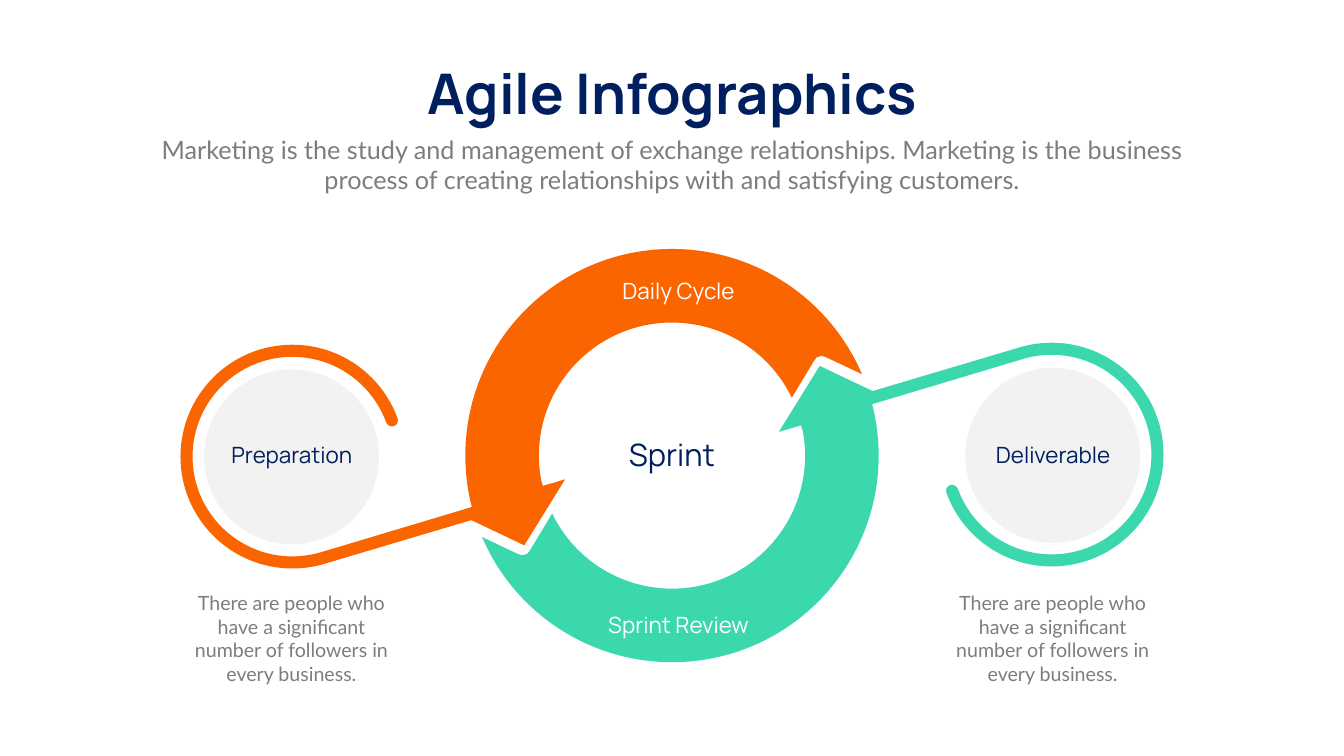
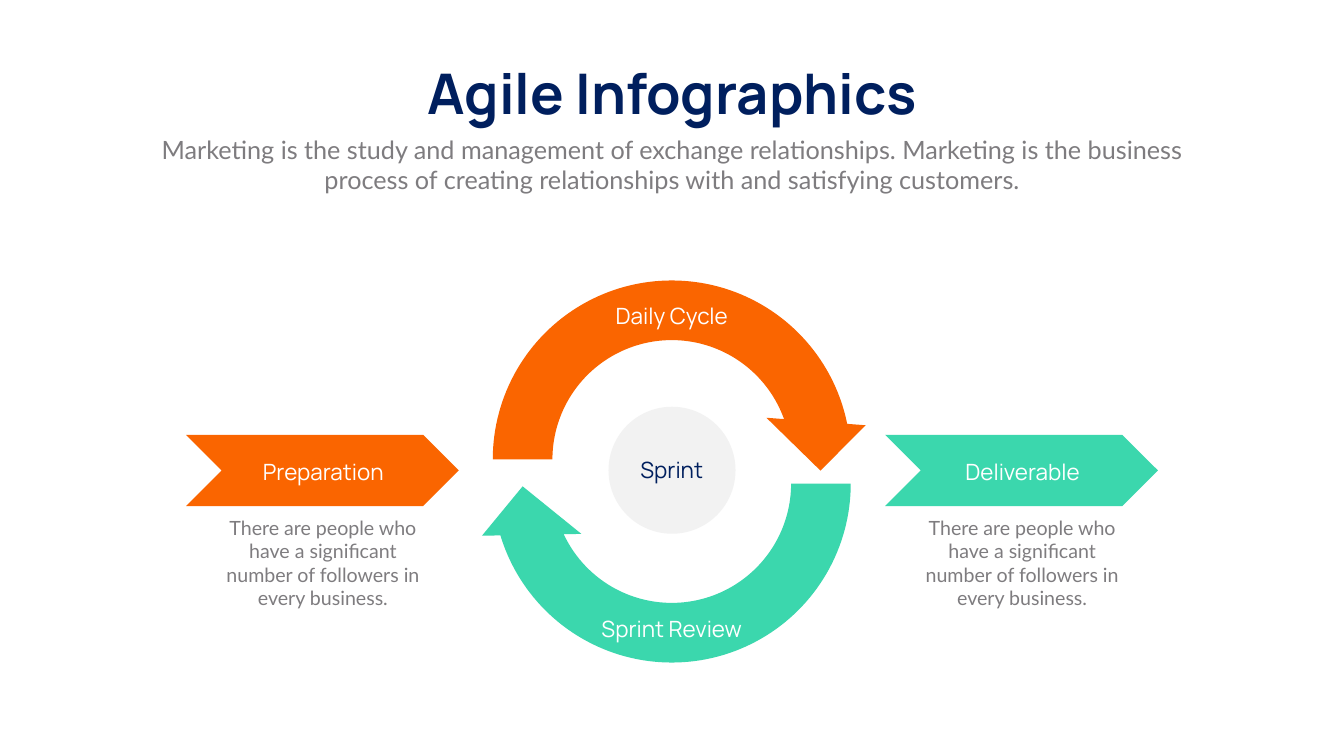
from math import ceil, cos, floor, radians, sin, tan

from pptx import Presentation
from pptx.dml.color import RGBColor
from pptx.enum.shapes import MSO_SHAPE
from pptx.enum.text import MSO_AUTO_SIZE, PP_ALIGN
from pptx.oxml.ns import qn
from pptx.util import Inches, Pt

NAVY = RGBColor(0x00, 0x1F, 0x5E)
GRAY = RGBColor(0x7E, 0x7C, 0x7F)
LIGHT = RGBColor(0xF2, 0xF2, 0xF2)
WHITE = RGBColor(0xFF, 0xFF, 0xFF)
ORANGE = RGBColor(0xFA, 0x65, 0x00)
GREEN = RGBColor(0x3B, 0xD7, 0xAD)

ELLIPSE = MSO_SHAPE.OVAL
CHEVRON = MSO_SHAPE.CHEVRON
CIRCULAR_ARROW = MSO_SHAPE.CIRCULAR_ARROW
CENTER = PP_ALIGN.CENTER
GROW = MSO_AUTO_SIZE.SHAPE_TO_FIT_TEXT

HEADING_FONT = "Manrope"
BODY_FONT = "Lato"
SLIDE_WIDTH, SLIDE_HEIGHT = 26.66, 15
LABEL_WIDTH, LABEL_HEIGHT = 4.2, 0.64
CAPTION_WIDTH, CAPTION_HEIGHT = 4.42, 1.99

TITLE = "Agile Infographics"
SUBTITLE = ("Marketing is the study and management of exchange relationships. "
            "Marketing is the business process of creating relationships with "
            "and satisfying customers.")
CAPTION = ("There are people who have a significant number of followers "
           "in every business.")


# Shared helpers
def add_text(slide, text, left, top, width, height, *, size=32,
             font=HEADING_FONT, color=NAVY, bold=False, wrap=True):
    frame = slide.shapes.add_textbox(
        Inches(left), Inches(top), Inches(width), Inches(height)).text_frame
    frame.word_wrap = wrap
    frame.auto_size = GROW
    paragraph = frame.paragraphs[0]
    paragraph.alignment = CENTER
    run = paragraph.add_run()
    run.text = text
    run.font.size = Pt(size)
    run.font.name = font
    run.font.bold = bold
    run.font.color.rgb = color


def add_label(slide, text, left, top, color=NAVY):
    add_text(slide, text, left, top, LABEL_WIDTH, LABEL_HEIGHT, color=color)


def add_caption(slide, left, top):
    add_text(slide, CAPTION, left, top, CAPTION_WIDTH, CAPTION_HEIGHT,
             size=28, font=BODY_FONT, color=GRAY)


def paint(shape, color):
    shape.fill.solid()
    shape.fill.fore_color.rgb = color
    shape.line.fill.background()
    shape.shadow.inherit = False
    return shape


def add_preset(slide, kind, color, left, top, width, height):
    return paint(slide.shapes.add_shape(
        kind, Inches(left), Inches(top), Inches(width), Inches(height)), color)


# Outlines are lists of segments: one point for a line, three for a curve
def line(*points):
    return [(point,) for point in points]


def arc(center_x, center_y, radius, start, end):
    """Line to the start, then one curve per quadrant, clockwise from the right."""
    low, high = sorted((start, end))
    breaks = [90 * turn for turn in range(floor(low / 90) + 1, ceil(high / 90))]
    stops = [start] + (breaks if start < end else breaks[::-1]) + [end]

    def place(angle, handle=0):
        cosine, sine = cos(radians(angle)), sin(radians(angle))
        return (center_x + radius * (cosine - handle * sine),
                center_y + radius * (sine + handle * cosine))

    segments = line(place(start))
    for first, last in zip(stops, stops[1:]):
        handle = 4 / 3 * tan(radians(last - first) / 4)
        segments.append((place(first, handle), place(last, -handle), place(last)))
    return segments


def half_turn(segments):
    return [tuple((-x, -y) for x, y in segment) for segment in segments]


def add_outline(slide, segments, center_x, center_y, color):
    places = [(Inches(center_x + x), Inches(center_y + y))
              for segment in segments for x, y in segment]
    builder = slide.shapes.build_freeform(*places[0], scale=1.0)
    builder.add_line_segments(places[1:], close=True)
    shape = paint(builder.convert_to_shape(), color)
    # Merge the three points of each curve into one element
    steps = iter(list(shape.element.iter(qn("a:lnTo"))))
    for segment in segments[1:]:
        curve, *others = [next(steps) for _ in segment]
        if others:
            curve.tag = qn("a:cubicBezTo")
        for other in others:
            curve.append(other[0])
            other.getparent().remove(other)


def add_heading(slide):
    add_text(slide, TITLE, 7.97, 1.12, 10.73, 1.45, size=80, bold=True, wrap=False)
    add_text(slide, SUBTITLE, 2.92, 2.61, 20.82, 1.31,
             size=36, font=BODY_FONT, color=GRAY)


# Slide 1: two ring halves, each tied to a loop
def loop_and_ring_half():
    """Outline around the ring centre, for the upper half and left loop."""
    loop_x, loop_y, loop_radius, band = -7.53, 0.02, 2.22, 0.24
    loop_start, loop_end = 73.5, 340
    cap_radius = loop_radius - band / 2
    cap_x = loop_x + cap_radius * cos(radians(loop_end))
    cap_y = loop_y + cap_radius * sin(radians(loop_end))
    return (
        arc(0, 0, 4.1, -23.2, -193)
        + line((-3.97, 1.02))
        + arc(loop_x, loop_y, loop_radius - band, loop_start, loop_end)
        + arc(cap_x, cap_y, band / 2, loop_end - 180, loop_end - 360)
        + arc(loop_x, loop_y, loop_radius, loop_end, loop_start)
        # Stem end and arrowhead
        + line((-3.98, 1.28), (-2.93, 1.78), (-2.12, 0.47), (-2.56, 0.6))
        + arc(0, 0, 2.64, 169, 334.2)
        # Rounded notch that clears the other arrowhead
        + line((2.81, -1.87), (2.87, -1.95), (2.97, -1.98), (3.06, -1.95)))


def add_linked_ring(slide, center_x, center_y):
    half = loop_and_ring_half()
    add_outline(slide, half_turn(half), center_x, center_y, GREEN)
    add_outline(slide, half, center_x, center_y, ORANGE)


def add_ring_hole(slide, center_x, center_y):
    half = arc(0, 0, 2.44, -23.2, -188.5) + line(
        (-2.19, 0.28), (-1.98, 0.35), (-1.96, 0.57))
    add_outline(slide, half + half_turn(half), center_x, center_y, WHITE)


def build_loop_slide(presentation):
    slide = presentation.slides.add_slide(presentation.slide_layouts[6])
    center_x, center_y = 13.33, 9.04
    add_heading(slide)
    add_linked_ring(slide, center_x, center_y)
    for left, top in ((4.05, 7.33), (19.15, 7.3)):
        add_preset(slide, ELLIPSE, LIGHT, left, top, 3.47, 3.47)
    add_ring_hole(slide, center_x, center_y)
    add_label(slide, "Sprint Review", 11.36, 12.07, WHITE)
    add_label(slide, "Daily Cycle", 11.36, 5.44, WHITE)
    for name, left, caption_left in (("Preparation", 3.69, 3.57),
                                     ("Deliverable", 18.79, 18.67)):
        add_label(slide, name, left, 8.7)
        add_caption(slide, caption_left, 11.68)
    add_text(slide, "Sprint", 11.23, 8.6, LABEL_WIDTH, 0.84, size=44)


# Slide 2: circular arrows between two chevrons
def add_step(slide, name, color, left, top):
    width = 5.41
    add_preset(slide, CHEVRON, color, left, top, width, 1.41)
    add_label(slide, name, left + (width - LABEL_WIDTH) / 2 + 0.02, top + 0.42, WHITE)
    add_caption(slide, left + (width - CAPTION_WIDTH) / 2 + 0.01, top + 1.55)


def add_cycle(slide, left, top):
    size = 7.89
    for color, drop, rotation, end_angle in (
            (ORANGE, 0, 0, 207.17), (GREEN, 0.48, 180, 203.95)):
        arrow = add_preset(slide, CIRCULAR_ARROW, color, left, top + drop, size, size)
        arrow.rotation = rotation
        for index, value in enumerate((0.15, 11.42, end_angle, 108, 0.125)):
            arrow.adjustments[index] = value
    label_left = left + (size - LABEL_WIDTH) / 2
    add_label(slide, "Daily Cycle", label_left, top + 0.77, WHITE)
    add_label(slide, "Sprint Review", label_left, top + 6.99, WHITE)
    add_preset(slide, ELLIPSE, LIGHT, left + 2.69, top + 2.9, 2.52, 2.52)
    add_label(slide, "Sprint", label_left, top + 3.84)


def build_cycle_slide(presentation):
    slide = presentation.slides.add_slide(presentation.slide_layouts[6])
    add_heading(slide)
    add_step(slide, "Deliverable", GREEN, 17.56, 8.63)
    add_cycle(slide, 9.38, 5.17)
    add_step(slide, "Preparation", ORANGE, 3.69, 8.63)


def main():
    presentation = Presentation()
    presentation.slide_width = Inches(SLIDE_WIDTH)
    presentation.slide_height = Inches(SLIDE_HEIGHT)
    build_loop_slide(presentation)
    build_cycle_slide(presentation)
    presentation.save("out.pptx")


if __name__ == "__main__":
    main()
